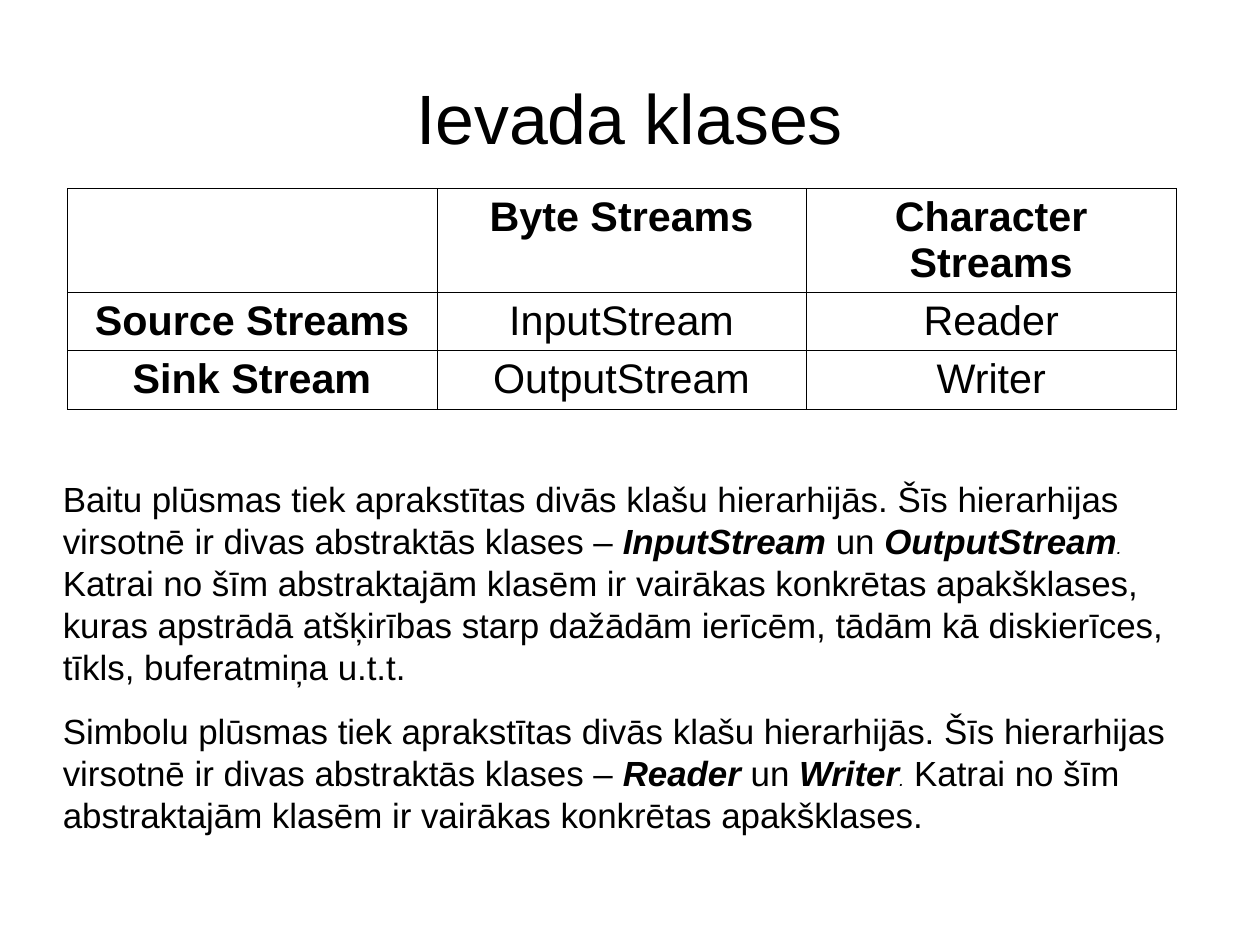
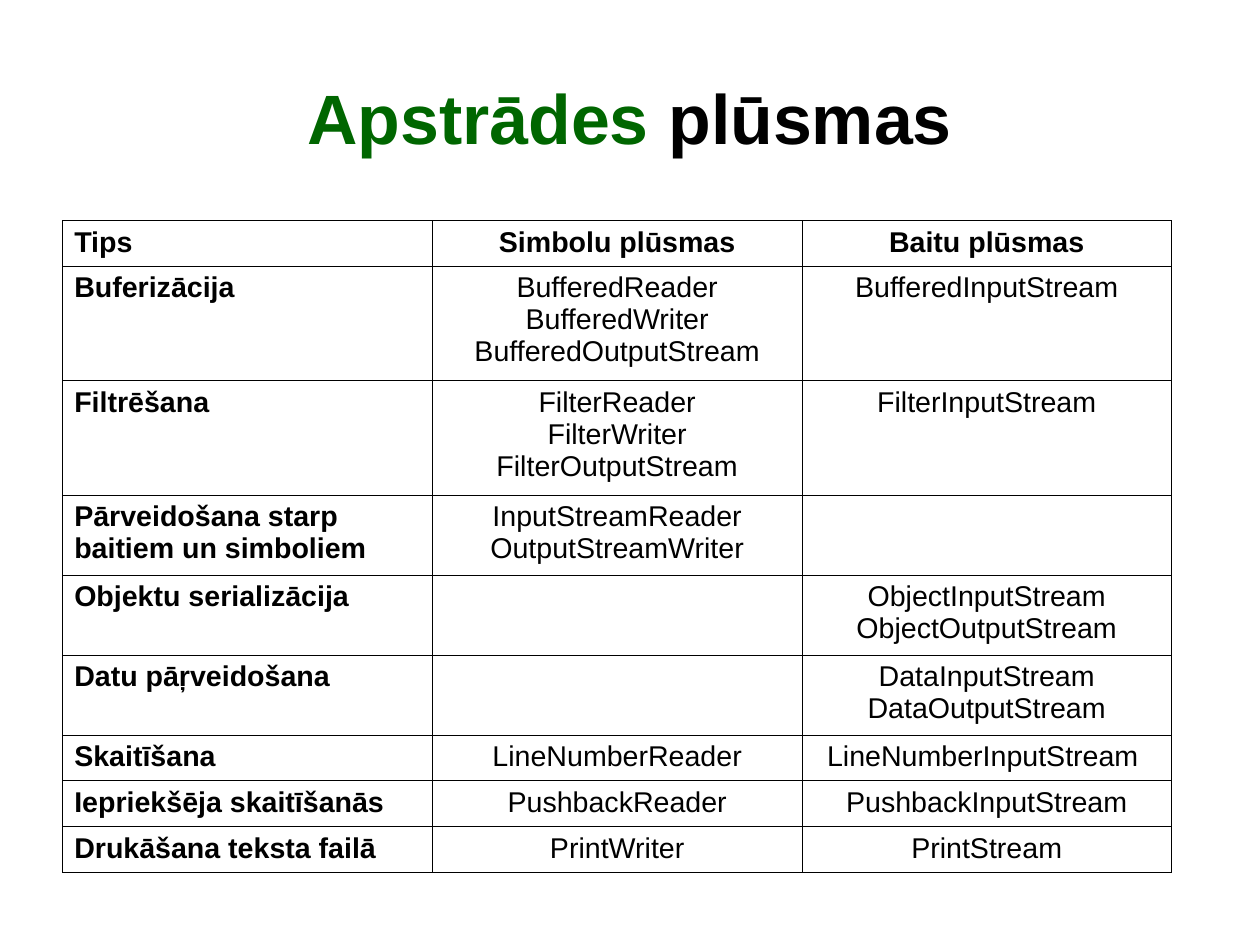
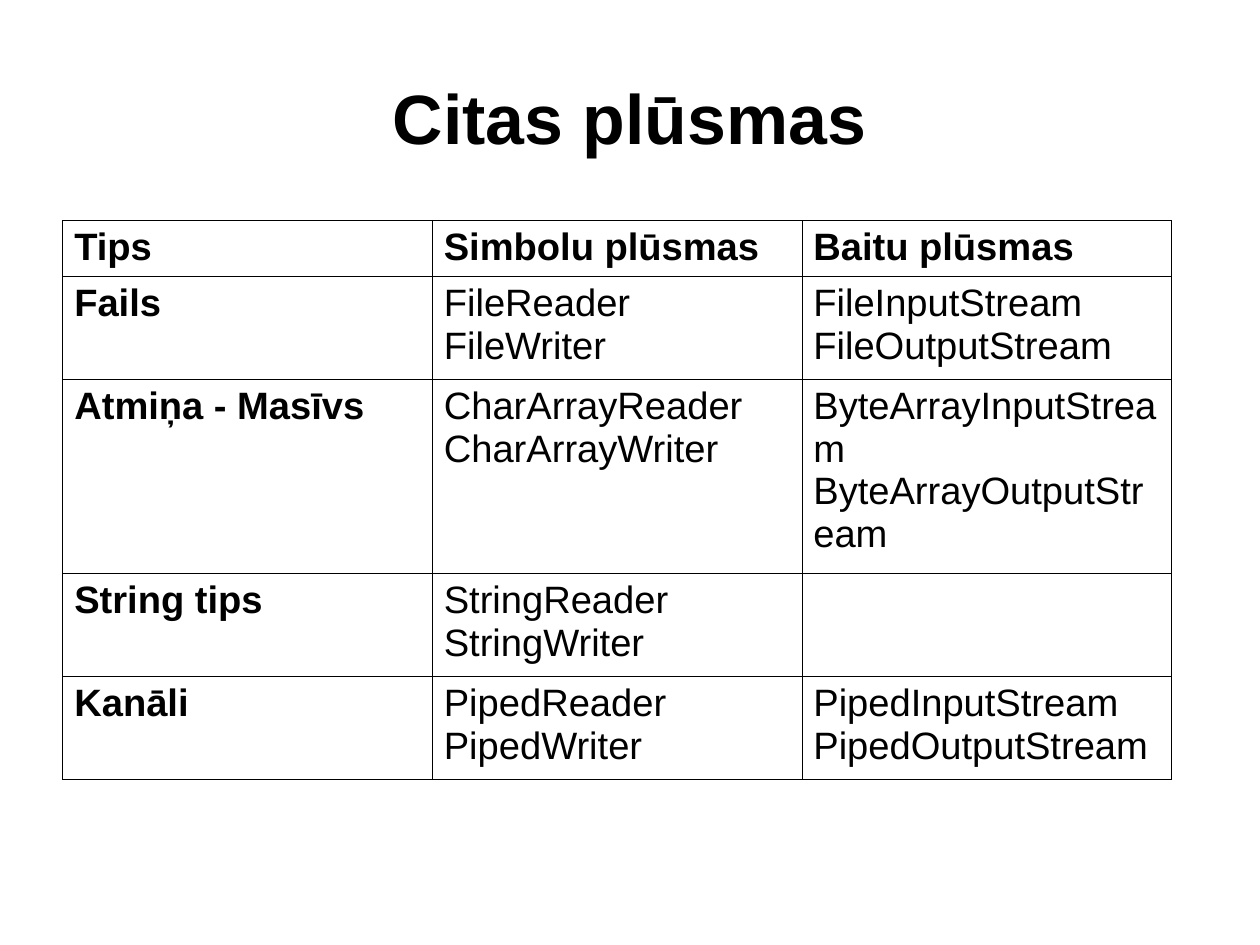
from dataclasses import dataclass

from pptx import Presentation
from pptx.dml.color import RGBColor
from pptx.enum.text import MSO_ANCHOR, MSO_AUTO_SIZE, PP_ALIGN
from pptx.oxml import parse_xml
from pptx.oxml.ns import nsdecls
from pptx.util import Inches, Pt


@dataclass(frozen=True)
class Theme:
    font: str = "Arial"
    ink: str = "000000"
    accent: str = "006600"
    title: int = 44
    body: int = 22
    stop: int = 12
    border: float = 0.57


T = Theme()
CM_PER_INCH = 2.54
TITLE_BOX = (0.55, 0.33, 9.92, 1.38)
LEFT, CENTER = PP_ALIGN.LEFT, PP_ALIGN.CENTER


def style(font, size, bold=False, color=T.ink):
    font.name = T.font
    font.size = Pt(size)
    font.bold = bold
    font.color.rgb = RGBColor.from_string(color)


def clear_insets(tf):
    tf.margin_left = tf.margin_top = tf.margin_right = tf.margin_bottom = 0
    tf.word_wrap = True


def add_titled_slide(prs, parts, bold=True):
    s = prs.slides.add_slide(prs.slide_layouts[5])
    sp = s.shapes.title
    sp.left, sp.top, sp.width, sp.height = map(Inches, TITLE_BOX)
    tf = sp.text_frame
    clear_insets(tf)
    tf.auto_size = MSO_AUTO_SIZE.NONE
    tf.vertical_anchor = MSO_ANCHOR.MIDDLE
    p = tf.paragraphs[0]
    p.alignment = CENTER
    for text, color in parts:
        r = p.add_run()
        r.text = text
        style(r.font, T.title, bold, color)
    return s


def add_borders(cell):
    tcPr = cell._tc.get_or_add_tcPr()
    for side in ("lnL", "lnR", "lnT", "lnB"):
        tcPr.append(parse_xml(
            f'<a:{side} {nsdecls("a")} w="{Pt(T.border)}"><a:solidFill>'
            f'<a:srgbClr val="{T.ink}"/></a:solidFill></a:{side}>'))


def fill_cell(cell, text, size, bold, align):
    add_borders(cell)
    cell.fill.background()
    cell.text = text
    for p in cell.text_frame.paragraphs:
        p.alignment = align
        style(p.font, size, bold)


def add_stream_table(s, box, rows, heights, size, aligns):
    left, top, width = box
    frame = s.shapes.add_table(len(rows), len(aligns), Inches(left), Inches(top),
                               Inches(width), Inches(sum(heights)))
    table = frame.table
    table.first_row = table.horz_banding = False
    for i, (row, height) in enumerate(zip(rows, heights)):
        table.rows[i].height = Inches(height)
        for j, (text, align) in enumerate(zip(row, aligns)):
            fill_cell(table.cell(i, j), text, size, i == 0 or j == 0, align)


def add_class_notes(s, box, notes):
    tf = s.shapes.add_textbox(*map(Inches, box)).text_frame
    clear_insets(tf)
    for i, (intro, first, second, rest) in enumerate(notes):
        p = tf.add_paragraph() if i else tf.paragraphs[0]
        p.space_after = Pt(14.2)
        runs = ((intro, T.body, False, False), (first, T.body, True, True),
                (" un ", T.body, False, False), (second, T.body, True, True),
                (".", T.stop, False, True), (rest, T.body, False, False))
        for text, size, bold, italic in runs:
            r = p.add_run()
            r.text = text
            style(r.font, size, bold)
            r.font.italic = italic


def build_input_classes(prs):
    s = add_titled_slide(prs, [("Ievada klases", T.ink)], bold=False)
    rows = [
        ("", "Byte Streams", "Character Streams"),
        ("Source Streams", "InputStream", "Reader"),
        ("Sink Stream", "OutputStream", "Writer"),
    ]
    add_stream_table(s, (0.59, 1.65, 9.7), rows, (0.91, 0.51, 0.51), 26, (CENTER,) * 3)
    intro = (" plūsmas tiek aprakstītas divās klašu hierarhijās. Šīs hierarhijas "
             "virsotnē ir divas abstraktās klases – ")
    rest = " Katrai no šīm abstraktajām klasēm ir vairākas konkrētas apakšklases"
    devices = (", kuras apstrādā atšķirības starp dažādām ierīcēm, tādām kā "
               "diskierīces, tīkls, buferatmiņa u.t.t.")
    add_class_notes(s, (0.55, 4.18, 9.7, 3.69), [
        ("Baitu" + intro, "InputStream", "OutputStream", rest + devices),
        ("Simbolu" + intro, "Reader", "Writer", rest + "."),
    ])


def build_processing_streams(prs):
    s = add_titled_slide(prs, [("Apstrādes", T.accent), (" plūsmas", T.ink)])
    rows = [
        ("Tips", "Simbolu plūsmas", "Baitu plūsmas"),
        ("Buferizācija", "BufferedReader\nBufferedWriter\nBufferedOutputStream",
         "BufferedInputStream"),
        ("Filtrēšana", "FilterReader\nFilterWriter\nFilterOutputStream",
         "FilterInputStream"),
        ("Pārveidošana starp baitiem un simboliem",
         "InputStreamReader\nOutputStreamWriter", ""),
        ("Objektu serializācija", "", "ObjectInputStream\nObjectOutputStream"),
        ("Datu pāŗveidošana", "", "DataInputStream\nDataOutputStream"),
        ("Skaitīšana", "LineNumberReader", "LineNumberInputStream "),
        ("Iepriekšēja skaitīšanās", "PushbackReader", "PushbackInputStream"),
        ("Drukāšana teksta failā", "PrintWriter", "PrintStream"),
    ]
    heights = (0.4, 1, 1, 0.7, 0.7, 0.7, 0.4, 0.4, 0.4)
    add_stream_table(s, (0.55, 1.93, 9.7), rows, heights, 18, (LEFT, CENTER, CENTER))


def build_other_streams(prs):
    s = add_titled_slide(prs, [("Citas plūsmas", T.ink)])
    rows = [
        ("Tips", "Simbolu plūsmas", "Baitu plūsmas"),
        ("Fails ", "FileReader\nFileWriter", "FileInputStream\nFileOutputStream"),
        ("Atmiņa - Masīvs", "CharArrayReader\nCharArrayWriter",
         "ByteArrayInputStream\nByteArrayOutputStream"),
        ("String tips", "StringReader\nStringWriter", ""),
        ("Kanāli", "PipedReader\nPipedWriter", "PipedInputStream\nPipedOutputStream"),
    ]
    add_stream_table(s, (0.55, 1.93, 9.7), rows, (0.49, 0.9, 1.7, 0.9, 0.9), 24, (LEFT,) * 3)


prs = Presentation()
prs.slide_width, prs.slide_height = Inches(28 / CM_PER_INCH), Inches(21 / CM_PER_INCH)
del prs.element.sldSz.attrib["type"]
build_input_classes(prs)
build_processing_streams(prs)
build_other_streams(prs)
prs.save("out.pptx")
